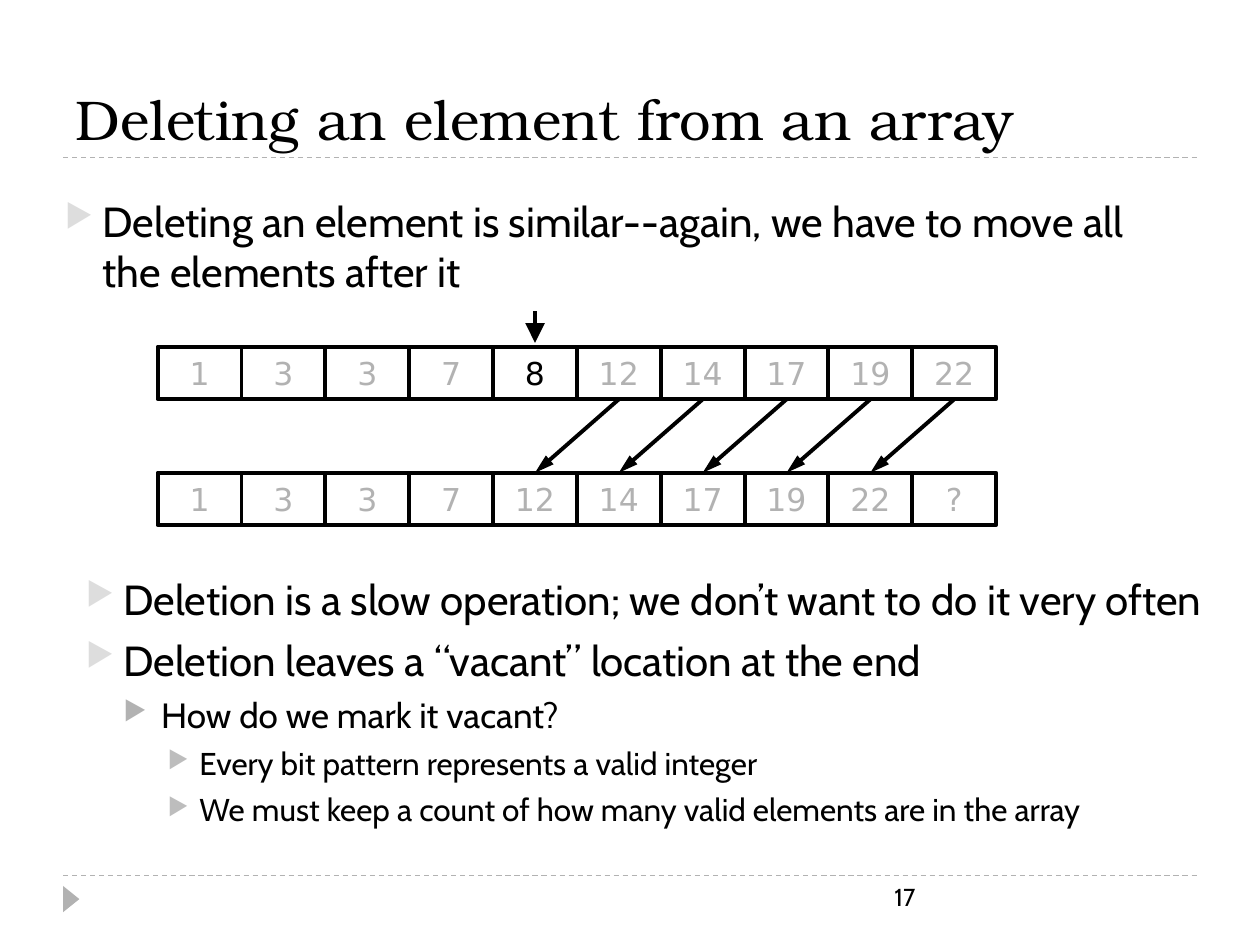
import pptx
import pptx.util
import pptx.dml.color
import pptx.enum.dml
import pptx.enum.shapes
import pptx.enum.text
import pptx.oxml.ns
from lxml import etree
from pptx.util import Cm

COLORS = {
    "ink": "000000",
    "muted": "B2B2B2",
    "bullet0": "DDDDDD",
    "bullet1": "B2B2B2",
    "bullet2": "BDBDBD",
}
HEADING_FONT, BODY_FONT, CELL_FONT = "TeX Gyre Bonum", "Cabin", "DejaVu Sans"

# Per outline level: text size, left margin (cm), hanging indent (cm), space before
LEVELS = [(24, 0.76, 0.76, 6), (20, 1.52, 0.76, 5), (18, 2.29, 0.64, 5)]

# Array geometry in cm
ARRAY_LEFT, CELL_WIDTH, CELL_HEIGHT = 3.18, 1.69, 1.06
BEFORE_TOP, AFTER_TOP = 6.99, 9.53
DELETED = 4
BEFORE = ["1", "3", "3", "7", "8", "12", "14", "17", "19", "22"]
AFTER = BEFORE[:DELETED] + BEFORE[DELETED + 1:] + ["?"]


def rgb(name):
    return pptx.dml.color.RGBColor.from_string(COLORS[name])


def add_xml(parent, tag, **attributes):
    return etree.SubElement(parent, pptx.oxml.ns.qn(tag), attributes)


def style_runs(paragraph, font, size, color="ink"):
    for run in paragraph.runs:
        run.font.name = font
        run.font.size = pptx.util.Pt(size)
        run.font.color.rgb = rgb(color)


def add_text(slide, left, top, width, height, text, font, size):
    frame = slide.shapes.add_textbox(Cm(left), Cm(top), Cm(width), Cm(height)).text_frame
    frame.word_wrap = True
    frame.text = text
    style_runs(frame.paragraphs[0], font, size)
    return frame


def add_outline(slide, left, top, width, height, items):
    """Bulleted text; items are (level, text) pairs."""
    frame = slide.shapes.add_textbox(Cm(left), Cm(top), Cm(width), Cm(height)).text_frame
    frame.word_wrap = True
    for index, (level, text) in enumerate(items):
        size, margin, hanging, before = LEVELS[level]
        paragraph = frame.add_paragraph() if index else frame.paragraphs[0]
        paragraph.text = text
        paragraph.level = level
        properties = paragraph._p.get_or_add_pPr()
        properties.set("marL", str(Cm(margin)))
        properties.set("indent", str(-Cm(hanging)))
        bullet_color = add_xml(properties, "a:buClr")
        add_xml(bullet_color, "a:srgbClr", val=COLORS[f"bullet{level}"])
        add_xml(properties, "a:buSzPct", val="76000")
        add_xml(properties, "a:buChar", char="▶")
        if index:
            paragraph.space_before = pptx.util.Pt(before)
        style_runs(paragraph, BODY_FONT, size)


def add_line(slide, start, end, color, width):
    line = slide.shapes.add_connector(
        pptx.enum.shapes.MSO_CONNECTOR.STRAIGHT, *(Cm(value) for value in start + end))
    line.line.color.rgb = rgb(color)
    line.line.width = pptx.util.Pt(width)
    add_xml(line._element.spPr, "a:effectLst")
    return line


def add_rule(slide, top):
    rule = add_line(slide, (1.27, top), (24.13, top), "muted", 0.75)
    rule.line.dash_style = pptx.enum.dml.MSO_LINE.DASH


def add_arrow(slide, start, end, head_width):
    arrow = add_line(slide, start, end, "ink", 2.25)
    add_xml(arrow.line._get_or_add_ln(), "a:tailEnd", type="triangle", w=head_width, len="lg")
    return arrow


def add_array(slide, top, values, highlighted=None):
    cells = []
    for index, value in enumerate(values):
        cell = slide.shapes.add_shape(
            pptx.enum.shapes.MSO_SHAPE.RECTANGLE,
            Cm(ARRAY_LEFT + index * CELL_WIDTH), Cm(top), Cm(CELL_WIDTH), Cm(CELL_HEIGHT))
        cell.shadow.inherit = False
        cell.fill.background()
        cell.line.color.rgb = rgb("ink")
        cell.line.width = pptx.util.Pt(2.25)
        frame = cell.text_frame
        frame.word_wrap = False
        frame.vertical_anchor = pptx.enum.text.MSO_ANCHOR.MIDDLE
        frame.text = value
        frame.paragraphs[0].alignment = pptx.enum.text.PP_ALIGN.CENTER
        style_runs(frame.paragraphs[0], CELL_FONT, 18,
                   "ink" if index == highlighted else "muted")
        cells.append(cell)
    return cells


def add_footer(slide):
    add_rule(slide, 17.65)
    marker = slide.shapes.add_shape(
        pptx.enum.shapes.MSO_SHAPE.ISOSCELES_TRIANGLE,
        Cm(1.17), Cm(17.96), Cm(0.53), Cm(0.33))
    marker.rotation = 90
    marker.shadow.inherit = False
    marker.fill.solid()
    marker.fill.fore_color.rgb = rgb("muted")
    marker.line.fill.background()
    add_text(slide, 17.78, 17.65, 6.35, 1.02, "17", BODY_FONT, 14)


def main():
    deck = pptx.Presentation()
    deck.slide_width, deck.slide_height = Cm(25.4), Cm(19.05)
    slide = deck.slides.add_slide(deck.slide_layouts[6])

    # Frame and title
    add_footer(slide)
    add_rule(slide, 3.18)
    title = add_text(slide, 1.27, 0.64, 22.86, 2.54,
                     "Deleting an element from an array", HEADING_FONT, 32)
    title.vertical_anchor = pptx.enum.text.MSO_ANCHOR.BOTTOM

    # Explanation
    add_outline(slide, 1.06, 3.81, 22.01, 2.54, [
        (0, "Deleting an element is similar--again, we have to move all the elements after it"),
    ])
    add_outline(slide, 1.48, 11.43, 23.07, 6.55, [
        (0, "Deletion is a slow operation; we don’t want to do it very often"),
        (0, "Deletion leaves a “vacant” location at the end"),
        (1, "How do we mark it vacant?"),
        (2, "Every bit pattern represents a valid integer"),
        (2, "We must keep a count of how many valid elements are in the array"),
    ])

    # Array before and after the deletion
    before = add_array(slide, BEFORE_TOP, BEFORE, DELETED)
    after = add_array(slide, AFTER_TOP, AFTER)

    # Each later element moves one place to the left
    for source, target in zip(before[DELETED + 1:], after[DELETED:]):
        move = add_arrow(slide, (0, 0), (0, 0), "med")
        move.begin_connect(source, 2)
        move.end_connect(target, 0)

    # Pointer to the deleted element
    deleted_center = ARRAY_LEFT + (DELETED + 0.5) * CELL_WIDTH
    add_arrow(slide, (deleted_center, 6.27), (deleted_center, 6.91), "lg")

    deck.save("out.pptx")


if __name__ == "__main__":
    main()
